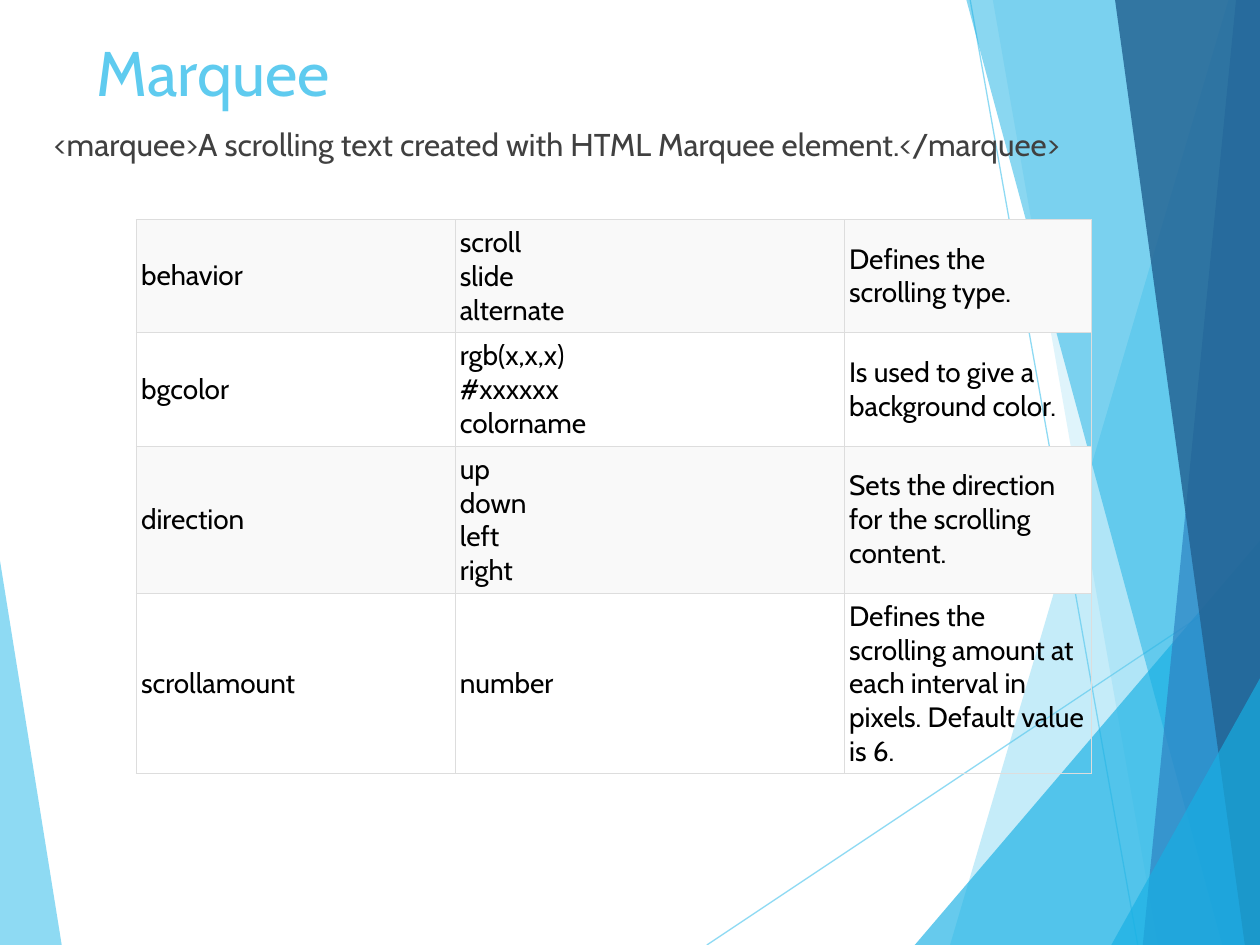
from copy import deepcopy

from lxml import etree
from pptx import Presentation
from pptx.dml.color import RGBColor
from pptx.enum.shapes import MSO_CONNECTOR
from pptx.enum.text import MSO_ANCHOR
from pptx.oxml.ns import qn
from pptx.util import Inches, Pt

STRAIGHT = MSO_CONNECTOR.STRAIGHT
MIDDLE = MSO_ANCHOR.MIDDLE
TOP = MSO_ANCHOR.TOP
WIDE, HIGH = Inches(10), Inches(7.5)
FONT = "Cabin"
SKY = RGBColor(0x5F, 0xCB, 0xEF)
AQUA = RGBColor(0x17, 0xB0, 0xE4)
BLUE = RGBColor(0x2E, 0x83, 0xC3)
NAVY = RGBColor(0x23, 0x62, 0x92)
GRAY = RGBColor(0x40, 0x40, 0x40)
BLACK = RGBColor(0, 0, 0)
PALE = RGBColor(0xF9, 0xF9, 0xF9)
RULE = RGBColor(0xDD, 0xDD, 0xDD)

WEDGE = (SKY, 70, [(-0.1, 58.5), (4.9, 100), (-0.1, 100)])
RAYS = [((56.1, 100), (100.1, 60.9)), ((77, 0), (90.3, 100))]
BANDS = [
    (SKY, 36, [(97.5, 0), (75.4, 100), (100.2, 100), (100.1, 0)]),
    (SKY, 20, [(78.8, 0), (91.9, 100), (100.1, 100), (100.1, 0)]),
    (AQUA, 66, [(72.6, 100), (100, 57.2), (100.1, 100)]),
    (AQUA, 50, [(76.7, 0), (97, 100), (100.1, 100), (100.1, 0)]),
    (BLUE, 70, [(98.1, 0), (90.7, 100), (100.1, 100), (100, 0)]),
    (NAVY, 82, [(88.5, 0), (98.8, 100), (100.2, 100), (100, 0)]),
    (AQUA, 66, [(88.2, 100), (100.2, 71.3), (100.2, 100)]),
]
COLS = [25.3, 30.9, 19.6]
ROWS = [11.87, 11.73, 15.33, 18.93]
CELLS = [
    ("behavior", "scroll\vslide\valternate", "Defines the scrolling type."),
    ("bgcolor", "rgb(x,x,x)\v#xxxxxx\vcolorname",
     "Is used to give a background color."),
    ("direction", "up\vdown\vleft\vright",
     "Sets the direction for the scrolling content."),
    ("scrollamount", "number",
     "Defines the scrolling amount at each interval in pixels. "
     "Default value is 6."),
]


def across(share):
    """Turn a percentage of the slide's width into a length."""
    return round(WIDE * share / 100)


def down(share):
    """Turn a percentage of the slide's height into a length."""
    return round(HIGH * share / 100)


def fade(shape, share):
    """Make the colours of a shape opaque to the given percentage."""
    for color in shape._element.spPr.iter(qn("a:srgbClr")):
        etree.SubElement(color, qn("a:alpha"), val=str(share * 1000))


def add_band(slide, color, share, points):
    """Draw a translucent polygon through points in percent."""
    spots = [(across(x), down(y)) for x, y in points]
    pen = slide.shapes.build_freeform(*spots[0])
    pen.add_line_segments(spots[1:], close=True)
    band = pen.convert_to_shape()
    band.shadow.inherit = False
    band.fill.solid()
    band.fill.fore_color.rgb = color
    band.line.fill.background()
    fade(band, share)


def add_ray(slide, start, end):
    """Draw a thin translucent line between two points in percent."""
    ray = slide.shapes.add_connector(
        STRAIGHT, across(start[0]), down(start[1]),
        across(end[0]), down(end[1]))
    ray.line.color.rgb = SKY
    ray.line.width = Pt(0.75)
    etree.SubElement(ray._element.spPr, qn("a:effectLst"))
    fade(ray, 70)


def set_text(frame, text, size, color):
    """Write one paragraph and give its runs and breaks one font."""
    frame.text = text
    frame.word_wrap = True
    para = frame.paragraphs[0]
    for run in para.runs:
        run.font.name = FONT
        run.font.size = Pt(size)
        run.font.color.rgb = color
    for gap in para._p.findall(qn("a:br")):
        gap.insert(0, deepcopy(para.runs[0]._r.rPr))


def add_text(slide, box, text, size, color):
    """Add a text box placed in percent of the slide."""
    x, y, wide, high = box
    shape = slide.shapes.add_textbox(
        across(x), down(y), across(wide), down(high))
    shape.text_frame.vertical_anchor = TOP
    set_text(shape.text_frame, text, size, color)


def add_rules(cell):
    """Draw a thin rule on each side of a cell."""
    props = cell._tc.get_or_add_tcPr()
    for side in ("lnL", "lnR", "lnT", "lnB"):
        line = etree.SubElement(props, qn("a:" + side), w=str(Pt(0.34)))
        fill = etree.SubElement(line, qn("a:solidFill"))
        etree.SubElement(fill, qn("a:srgbClr"), val=str(RULE))


def fill_cell(cell, text, shaded):
    """Write, rule and shade one table cell."""
    cell.margin_left = cell.margin_right = Inches(0.04)
    cell.margin_top = cell.margin_bottom = Inches(0.05)
    cell.vertical_anchor = MIDDLE
    set_text(cell.text_frame, text, 16, BLACK)
    add_rules(cell)
    if shaded:
        cell.fill.solid()
        cell.fill.fore_color.rgb = PALE
    else:
        cell.fill.background()


def add_grid(slide, x, y):
    """Add the table of marquee attributes."""
    table = slide.shapes.add_table(
        len(ROWS), len(COLS), across(x), down(y),
        across(sum(COLS)), down(sum(ROWS))).table
    table.first_row = table.horz_banding = False
    for col, share in zip(table.columns, COLS):
        col.width = across(share)
    for row, share in zip(table.rows, ROWS):
        row.height = down(share)
    for i, texts in enumerate(CELLS):
        for j, text in enumerate(texts):
            fill_cell(table.cell(i, j), text, i % 2 == 0)


def main():
    """Build and save the slide."""
    deck = Presentation()
    deck.slide_width, deck.slide_height = WIDE, HIGH
    slide = deck.slides.add_slide(deck.slide_layouts[6])
    add_band(slide, *WEDGE)
    for start, end in RAYS:
        add_ray(slide, start, end)
    for band in BANDS:
        add_band(slide, *band)
    add_text(slide, (6.7, 2.93, 69.4, 19.2), "Marquee", 36, SKY)
    add_text(slide, (3.3, 12.53, 84.2, 56.53),
             "<marquee>A scrolling text created with HTML Marquee "
             "element.</marquee>", 18, GRAY)
    add_grid(slide, 10.8, 23.2)
    deck.save("out.pptx")


if __name__ == "__main__":
    main()
